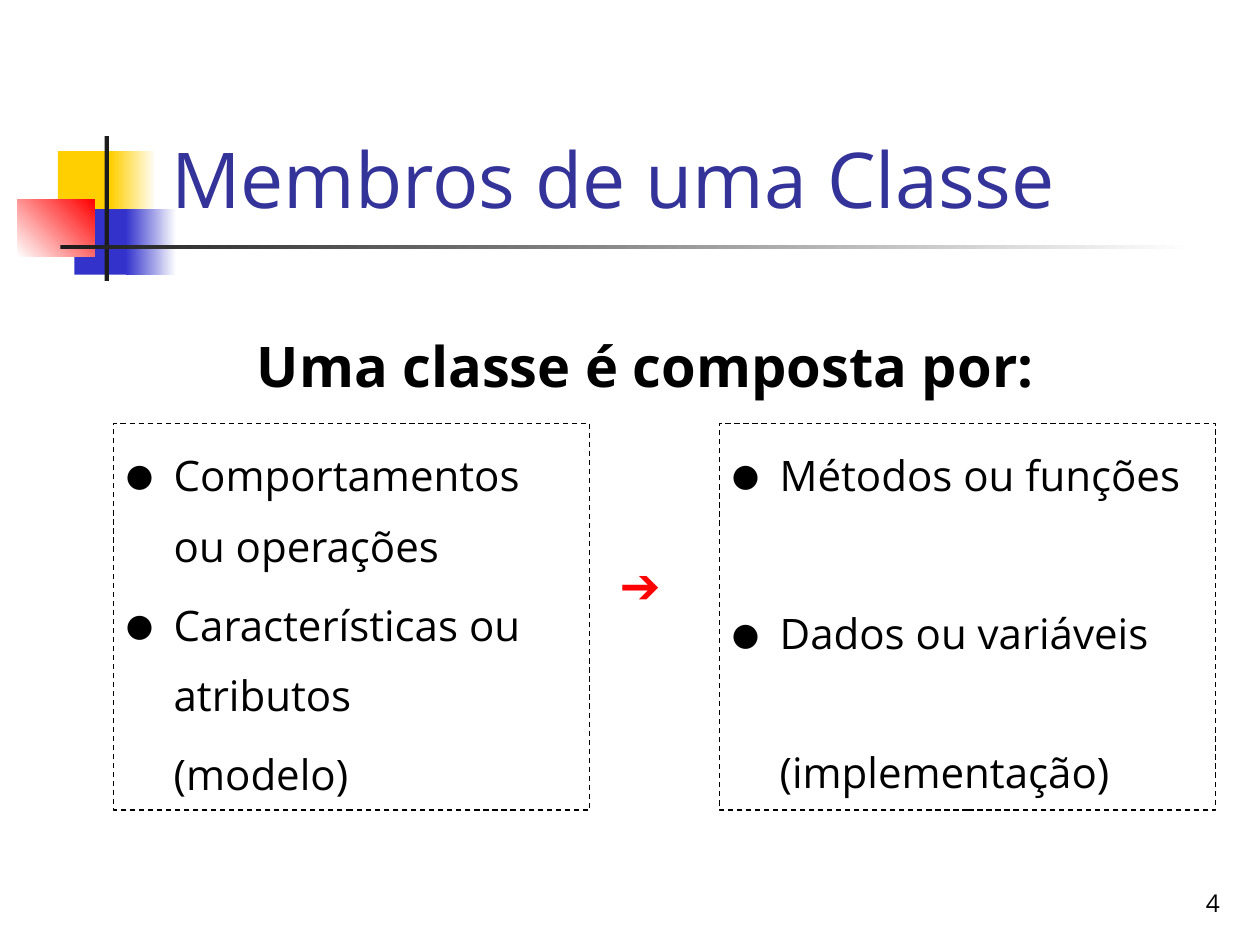
from dataclasses import dataclass
from lxml import etree
from pptx import Presentation
from pptx.dml.color import RGBColor as Rgb
from pptx.enum.dml import MSO_LINE as Dash
from pptx.enum.shapes import MSO_SHAPE as Kind
from pptx.enum.text import MSO_ANCHOR as Anchor, PP_ALIGN as Align
from pptx.oxml.ns import qn
from pptx.util import Inches, Pt

WIDE, HIGH = Inches(10), Inches(7.5)
COLS, ROWS = 100, 75
HANG = Inches(0.38)


@dataclass(frozen=True)
class Theme:
    font: str = "Open Sans"
    ink: str = "000000"
    paper: str = "FFFFFF"
    title: str = "333399"
    gold: str = "FFCF01"
    blue: str = "3333CC"
    red: str = "FF0000"
    rule: str = "1C1C1C"
    big: int = 44
    head: int = 32
    arrow: int = 28
    body: int = 24
    small: int = 14


THEME = Theme()


def place(col, row, cols, rows):
    """Turn grid units into slide lengths."""
    across, down = WIDE / COLS, HIGH / ROWS
    return [int(n) for n in (col * across, row * down, cols * across, rows * down)]


def style(para, size, color=THEME.ink, bold=False):
    for run in para.runs:
        font = run.font
        font.name, font.size, font.bold = THEME.font, Pt(size), bold
        font.color.rgb = Rgb.from_string(color)


def block(slide, area, color, fade=None, angle=0):
    """A plain rectangle, or one that fades from color to fade."""
    shape = slide.shapes.add_shape(Kind.RECTANGLE, *place(*area))
    shape.shadow.inherit = False
    shape.line.fill.background()
    fill = shape.fill
    if fade is None:
        fill.solid()
        fill.fore_color.rgb = Rgb.from_string(color)
        return
    fill.gradient()
    fill.gradient_angle = angle
    for stop, tone in zip(fill.gradient_stops, (color, fade)):
        stop.color.rgb = Rgb.from_string(tone)


def label(slide, area, text, size, color=THEME.ink, bold=False,
          align=Align.LEFT, anchor=Anchor.TOP, wrap=True):
    frame = slide.shapes.add_textbox(*place(*area)).text_frame
    frame.word_wrap, frame.vertical_anchor = wrap, anchor
    frame.text = text
    para = frame.paragraphs[0]
    para.alignment = align
    style(para, size, color, bold)


def indent(para, dot):
    """Indent a paragraph, with a hanging bullet if dot is set."""
    props = para._p.get_or_add_pPr()
    props.set("marL", str(HANG))
    props.set("indent", str(-HANG if dot else 0))
    if not dot:
        etree.SubElement(props, qn("a:buNone"))
        return
    tint = etree.SubElement(props, qn("a:buClr"))
    etree.SubElement(tint, qn("a:srgbClr"), val=THEME.ink)
    etree.SubElement(props, qn("a:buSzPct"), val="75000")
    etree.SubElement(props, qn("a:buFont"), typeface=THEME.font)
    etree.SubElement(props, qn("a:buChar"), char="●")


def panel(slide, area, items):
    """A dashed box; each item is text, space before, bullet or not."""
    shape = slide.shapes.add_shape(Kind.RECTANGLE, *place(*area))
    shape.shadow.inherit = False
    shape.fill.background()
    line = shape.line
    line.color.rgb = Rgb.from_string(THEME.ink)
    line.width, line.dash_style = Pt(0.75), Dash.DASH
    frame = shape.text_frame
    frame.word_wrap, frame.vertical_anchor = True, Anchor.TOP
    for i, (text, gap, dot) in enumerate(items):
        para = frame.add_paragraph() if i else frame.paragraphs[0]
        para.text = text
        para.alignment = Align.LEFT
        para.line_spacing, para.space_before = 1.4, Pt(gap)
        indent(para, dot)
        style(para, THEME.body)


def motif(slide):
    """Coloured blocks and rules beside the title."""
    white = THEME.paper
    block(slide, (4.6, 12, 4.8, 5.2), THEME.gold)
    block(slide, (8.8, 12, 3.6, 5.2), THEME.gold, white)
    block(slide, (5.9, 16.6, 4.6, 5.2), THEME.blue)
    block(slide, (10, 16.6, 4, 5.2), THEME.blue, white)
    block(slide, (1.4, 15.8, 6.1, 4.6), white, THEME.red, 45)
    block(slide, (8.3, 10.8, 0.35, 11.5), THEME.rule)
    block(slide, (4.8, 19.45, 90, 0.35), THEME.rule, white)


def main():
    deck = Presentation()
    deck.slide_width, deck.slide_height = WIDE, HIGH
    slide = deck.slides.add_slide(deck.slide_layouts[6])
    motif(slide)

    # Title, heading and page number
    label(slide, (77, 68.3, 20.8, 5), "4", THEME.small,
          align=Align.RIGHT, anchor=Anchor.BOTTOM)
    label(slide, (12.6, 2.3, 85.2, 16), "Membros de uma Classe", THEME.big,
          THEME.title, anchor=Anchor.BOTTOM)
    label(slide, (9.2, 25.8, 84.1, 6.9), "Uma classe é composta por:",
          THEME.head, bold=True, align=Align.CENTER)

    # Model on the left, implementation on the right
    near = THEME.body * 0.2
    panel(slide, (9, 33.6, 37.8, 30.7), [
        ("Comportamentos ou operações", near, True),
        ("Características ou atributos", near, True),
        ("(modelo)", near, False)])
    panel(slide, (57.1, 33.6, 39.4, 30.7), [
        ("Métodos ou funções", near, True),
        ("Dados ou variáveis", 50, True),
        ("(implementação)", 39, False)])
    label(slide, (48.2, 43.5, 6.2, 5.7), "➔", THEME.arrow, THEME.red,
          bold=True, wrap=False)

    deck.save("out.pptx")


main()
